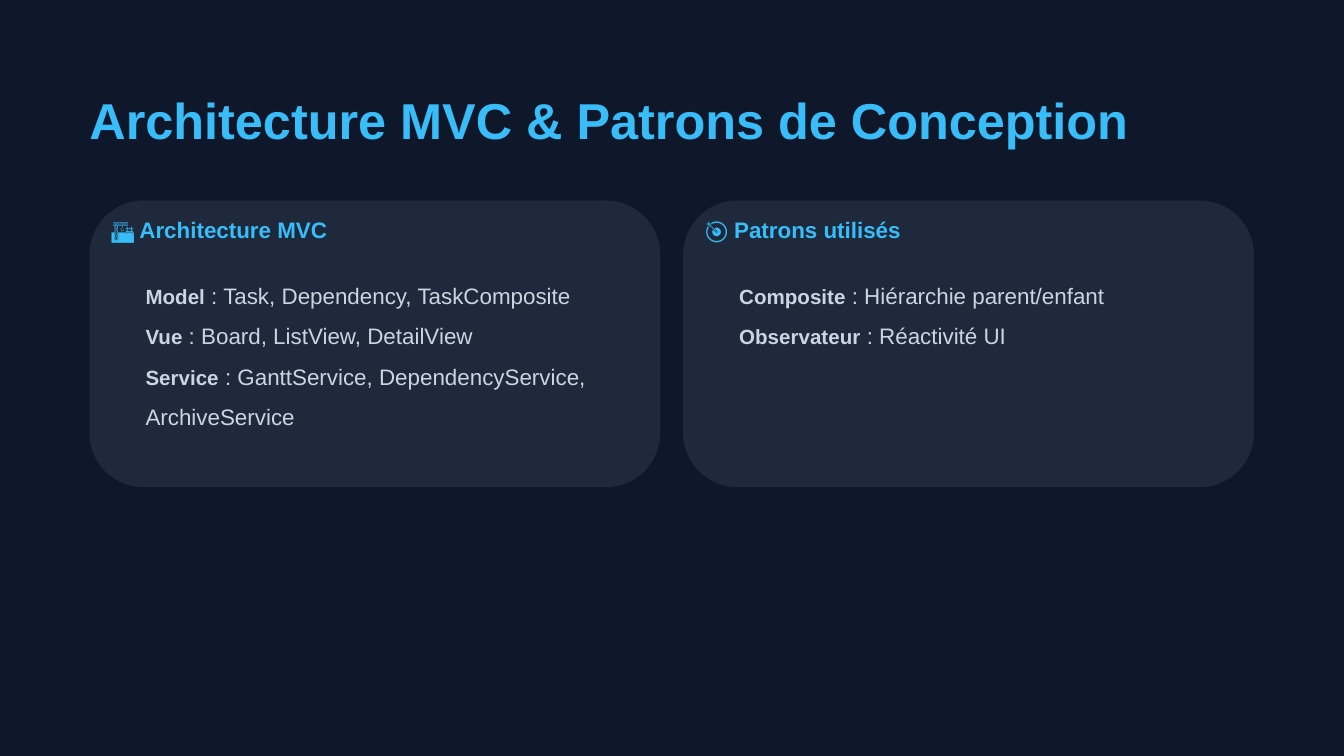
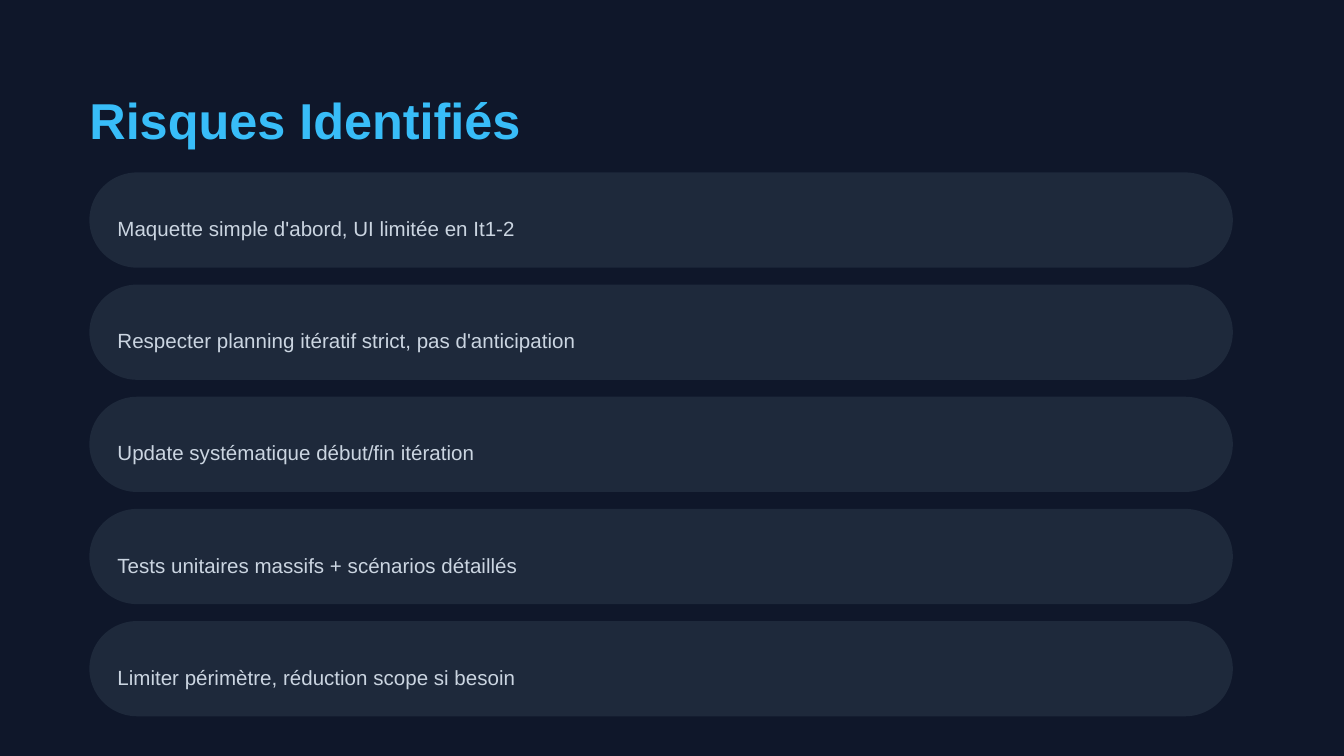
from dataclasses import dataclass

from lxml import etree
from pptx import Presentation
from pptx import util as u
from pptx.dml.color import RGBColor
from pptx.enum import shapes, text
from pptx.oxml.ns import qn


@dataclass(frozen=True)
class Theme:
    font: str = "Arial"
    background: str = "0F172A"
    card: str = "1E293B"
    accent: str = "38BDF8"
    body: str = "CBD5E1"
    title_size: float = 27
    text_size: float = 12
    small_size: float = 11


THEME = Theme()


@dataclass(frozen=True)
class Box:
    """A rectangle in centimetres."""
    left: float
    top: float
    width: float
    height: float

    def lengths(self) -> tuple:
        return tuple(u.Cm(value) for value in (self.left, self.top, self.width, self.height))


@dataclass(frozen=True)
class Run:
    text: str
    size: float
    bold: bool = False


@dataclass(frozen=True)
class Topic:
    heading: str
    items: tuple  # pairs of term and explanation
    list_height: float


MARGIN = 1.69
TITLE_BOX = Box(MARGIN, 1.69, 22.45, 1.14)
COMPARISON_LAYOUT, TITLE_ONLY_LAYOUT = 4, 5

TOPIC_TOP, TOPIC_STEP = 3.79, 11.22
RISK_TOP, RISK_STEP = 3.26, 2.12

TOPICS = (
    Topic("🏗️ Architecture MVC", (
        ("Model", "Task, Dependency, TaskComposite"),
        ("Vue", "Board, ListView, DetailView"),
        ("Service", "GanttService, DependencyService, ArchiveService"),
    ), 3.39),
    Topic("🎯 Patrons utilisés", (
        ("Composite", "Hiérarchie parent/enfant"),
        ("Observateur", "Réactivité UI"),
    ), 2.69),
)

RISKS = (
    "Maquette simple d'abord, UI limitée en It1-2",
    "Respecter planning itératif strict, pas d'anticipation",
    "Update systématique début/fin itération",
    "Tests unitaires massifs + scénarios détaillés",
    "Limiter périmètre, réduction scope si besoin",
)


def place(shape, box: Box) -> None:
    shape.left, shape.top, shape.width, shape.height = box.lengths()


def write_text(shape, lines: list[list[Run]], *, color: str, line_spacing: float) -> None:
    """Fill a shape with plain, left-aligned paragraphs made of formatted runs."""
    frame = shape.text_frame
    frame.margin_left = frame.margin_top = frame.margin_right = frame.margin_bottom = 0
    frame.word_wrap = True
    frame.auto_size = text.MSO_AUTO_SIZE.NONE
    frame.vertical_anchor = text.MSO_ANCHOR.TOP
    for index, runs in enumerate(lines):
        paragraph = frame.add_paragraph() if index else frame.paragraphs[0]
        paragraph.alignment = text.PP_ALIGN.LEFT
        paragraph.line_spacing = u.Pt(line_spacing)
        paragraph.space_before = paragraph.space_after = u.Pt(0)
        # Remove the bullet and indent inherited from the template
        properties = paragraph._p.get_or_add_pPr()
        properties.set("marL", "0")
        properties.set("indent", "0")
        etree.SubElement(properties, qn("a:buNone"))
        for item in runs:
            run = paragraph.add_run()
            run.text = item.text
            run.font.name = THEME.font
            run.font.size = u.Pt(item.size)
            run.font.bold = item.bold
            run.font.color.rgb = RGBColor.from_string(color)


def add_titled_slide(presentation, layout: int, title: str):
    slide = presentation.slides.add_slide(presentation.slide_layouts[layout])
    place(slide.shapes.title, TITLE_BOX)
    write_text(slide.shapes.title, [[Run(title, THEME.title_size, True)]],
               color=THEME.accent, line_spacing=32.4)
    return slide


def add_card(slide, box: Box, rounding: float) -> None:
    """Draw a rounded card behind the slide's text."""
    card = slide.shapes.add_shape(shapes.MSO_SHAPE.ROUNDED_RECTANGLE, *box.lengths())
    card.adjustments[0] = rounding
    card.shadow.inherit = False
    card.fill.solid()
    card.fill.fore_color.rgb = RGBColor.from_string(THEME.card)
    card.line.fill.background()
    slide.shapes.title.element.addprevious(card.element)


def build_architecture(presentation) -> None:
    slide = add_titled_slide(presentation, COMPARISON_LAYOUT,
                             "Architecture MVC & Patrons de Conception")
    placeholders = list(slide.placeholders)[1:]
    for index, topic in enumerate(TOPICS):
        left = MARGIN + index * TOPIC_STEP
        heading, details = placeholders[2 * index:2 * index + 2]
        add_card(slide, Box(left, TOPIC_TOP, 10.79, 5.42), 0.19)

        place(heading, Box(left + 0.42, TOPIC_TOP + 0.43, 10.16, 0.56))
        write_text(heading, [[Run(topic.heading, THEME.text_size, True)]],
                   color=THEME.accent, line_spacing=10.8)

        place(details, Box(left + 1.06, TOPIC_TOP + 1.29, 9.31, topic.list_height))
        write_text(details, [[Run(term, THEME.small_size, True),
                              Run(f" : {explanation}", THEME.text_size)]
                             for term, explanation in topic.items],
                   color=THEME.body, line_spacing=21.6)


def build_risks(presentation) -> None:
    slide = add_titled_slide(presentation, TITLE_ONLY_LAYOUT, "Risques Identifiés")
    for index, risk in enumerate(RISKS):
        top = RISK_TOP + index * RISK_STEP
        add_card(slide, Box(MARGIN, top, 21.61, 1.8), 0.5)
        label = slide.shapes.add_textbox(*Box(MARGIN + 0.53, top + 0.95, 21.08, 0.43).lengths())
        write_text(label, [[Run(risk, THEME.small_size)]],
                   color=THEME.body, line_spacing=9.7)


def main() -> None:
    presentation = Presentation()
    presentation.slide_width, presentation.slide_height = u.Cm(25.4), u.Cm(14.29)
    # Shared background
    background = presentation.slide_master.background.fill
    background.solid()
    background.fore_color.rgb = RGBColor.from_string(THEME.background)

    build_architecture(presentation)
    build_risks(presentation)
    presentation.save("out.pptx")


if __name__ == "__main__":
    main()
